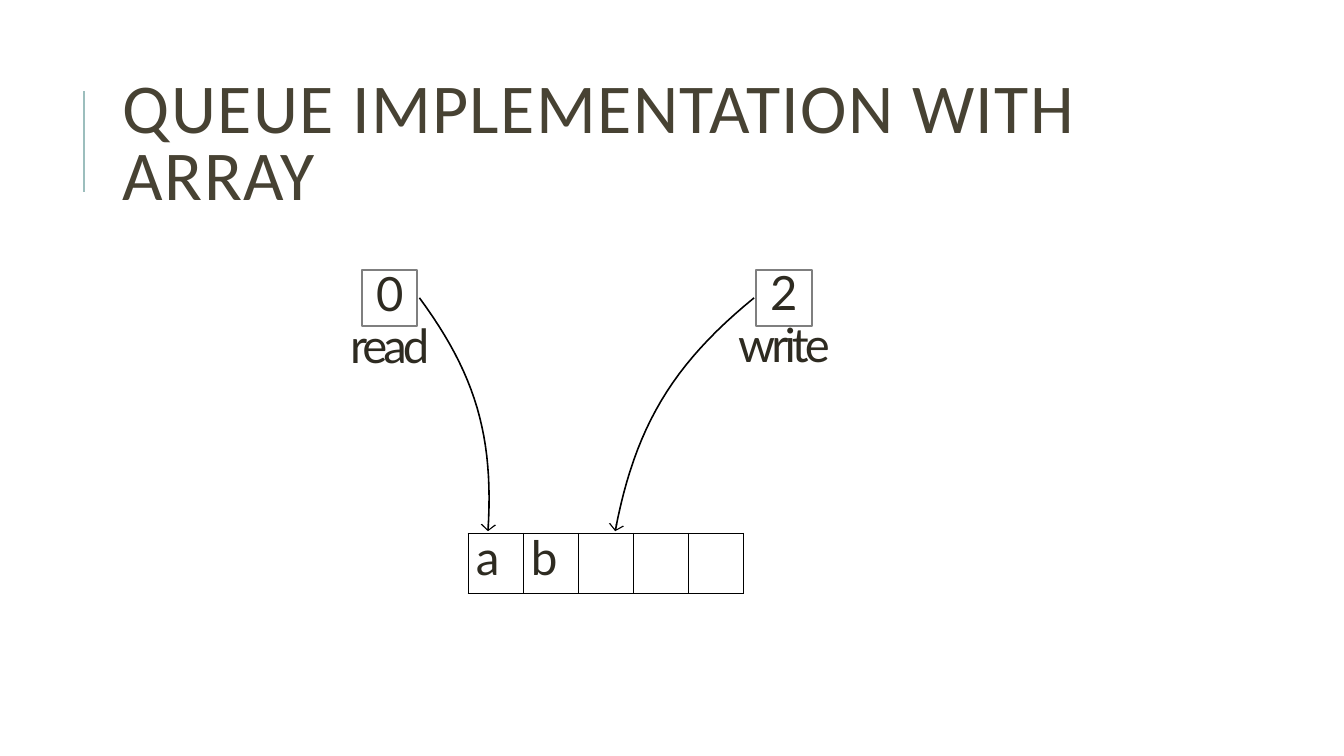
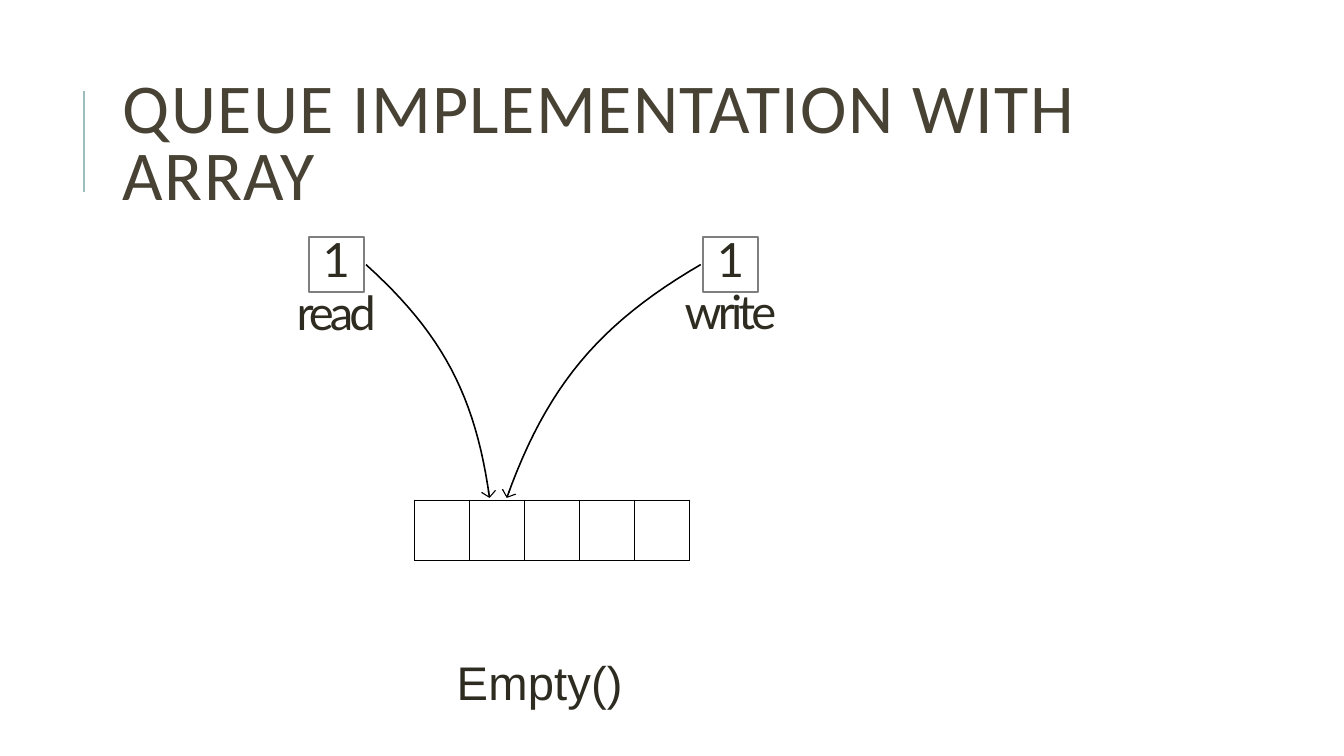
import math

from lxml import etree
from pptx import Presentation
from pptx.dml.color import RGBColor
from pptx.enum.shapes import MSO_CONNECTOR, MSO_SHAPE
from pptx.enum.text import MSO_ANCHOR, PP_ALIGN
from pptx.oxml.ns import qn
from pptx.util import Inches, Pt

LEFT, CENTER = PP_ALIGN.LEFT, PP_ALIGN.CENTER
TOP, MIDDLE = MSO_ANCHOR.TOP, MSO_ANCHOR.MIDDLE
RECTANGLE = MSO_SHAPE.RECTANGLE
STRAIGHT = MSO_CONNECTOR.STRAIGHT

color = RGBColor.from_string
ACCENT, TITLE_COLOR, TEXT_COLOR = "9CBEBD", "474233", "2E2B21"
BOX_LINE, BLACK = "7F7F7F", "000000"

TITLE = "QUEUE IMPLEMENTATION WITH ARRAY"
TITLE_STYLE = {"name": "Calibri", "size": Pt(50)}
LABEL_STYLE = {"name": "Lato", "size": Pt(33.7)}
CELL_STYLE = {"name": "Lato", "size": Pt(34)}
CALL_STYLE = {"name": "Arial", "size": Pt(33.7)}

BOX_SIZE = 0.55
CELL_COUNT = 5
CELL_WIDTH = 2.73 / CELL_COUNT
CELL_HEIGHT = 0.6
WRITE_OFFSET = 3.91
ARRAY_OFFSET = (1.05, 2.61)
ARROW_GAP = 0.02
BEND = math.radians(20)
CURVE_STEPS = 24


def add_text(frame, lines, style, text_color, line_spacing, margins,
             align=LEFT, anchor=TOP):
    """Fill a text frame with (text, letter spacing in points) lines."""
    frame.word_wrap = True
    frame.vertical_anchor = anchor
    frame.margin_left, frame.margin_top, frame.margin_right, frame.margin_bottom = (
        Inches(margin) for margin in margins)
    for index, (text, letter_spacing) in enumerate(lines):
        paragraph = frame.add_paragraph() if index else frame.paragraphs[0]
        paragraph.alignment = align
        paragraph.line_spacing = line_spacing
        run = paragraph.add_run()
        run.text = text
        for name, value in style.items():
            setattr(run.font, name, value)
        run.font.color.rgb = color(text_color)
        run.font._element.set("spc", str(round(letter_spacing * 100)))


def add_bent_arrow(slide, start, end, bend):
    """Draw a cubic curve that leaves and meets its chord at the bend angle."""
    (x0, y0), (x3, y3) = start, end
    chord = math.atan2(y3 - y0, x3 - x0)
    reach = 0.39 * math.dist(start, end)
    x1 = x0 + reach * math.cos(chord + bend)
    y1 = y0 + reach * math.sin(chord + bend)
    x2 = x3 - reach * math.cos(chord - bend)
    y2 = y3 - reach * math.sin(chord - bend)
    points = []
    for step in range(CURVE_STEPS + 1):
        t = step / CURVE_STEPS
        weights = ((1 - t) ** 3, 3 * t * (1 - t) ** 2, 3 * t * t * (1 - t), t ** 3)
        points.append(tuple(
            Inches(sum(weight * value for weight, value in zip(weights, values)))
            for values in ((x0, x1, x2, x3), (y0, y1, y2, y3))))
    builder = slide.shapes.build_freeform(*points[0])
    builder.add_line_segments(points[1:], close=False)
    curve = builder.convert_to_shape()
    curve.shadow.inherit = False
    curve.fill.background()
    curve.line.color.rgb = color(BLACK)
    curve.line.width = Pt(1.13)
    etree.SubElement(curve.line._get_or_add_ln(), qn("a:tailEnd"),
                     type="arrow", w="lg", len="sm")


presentation = Presentation()
presentation.slide_width = Inches(13.33)
presentation.slide_height = Inches(7.5)
blank_layout = presentation.slide_layouts[6]

# Diagram origin, read index, write index, array contents, call below the array
states = [
    ((3.59, 2.68), 0, 2, ["a", "b"], None),
    ((3.06, 2.35), 1, 1, [], "Empty()"),
]

for (left, top), read_index, write_index, contents, call in states:
    slide = presentation.slides.add_slide(blank_layout)

    title_rule = slide.shapes.add_connector(
        STRAIGHT, Inches(0.83), Inches(1.9), Inches(0.83), Inches(0.9))
    title_rule.line.color.rgb = color(ACCENT)
    title_rule.line.width = Pt(1.5)
    etree.SubElement(title_rule._element.spPr, qn("a:effectLst"))

    title = slide.shapes.add_textbox(
        Inches(1.12), Inches(0.64), Inches(10.63), Inches(1.64))
    add_text(title.text_frame, [(TITLE, 1)], TITLE_STYLE, TITLE_COLOR, 0.8,
             (0.1, 0.05, 0.1, 0.05), anchor=MIDDLE)

    array_left, array_top = left + ARRAY_OFFSET[0], top + ARRAY_OFFSET[1]
    write_left = left + WRITE_OFFSET

    # Box left, name, index, label width, line spacing, arrow start and end, bend
    pointers = [
        (left, "read", read_index, 0.85, 37.6,
         left + BOX_SIZE + ARROW_GAP, 0.2, -BEND),
        (write_left, "write", write_index, 0.98, 37.1,
         write_left - ARROW_GAP, 0.37, BEND),
    ]
    for (box_left, name, index, label_width, spacing,
         arrow_left, cell_offset, bend) in pointers:
        box = slide.shapes.add_shape(
            RECTANGLE, Inches(box_left), Inches(top), Inches(BOX_SIZE), Inches(BOX_SIZE))
        box.shadow.inherit = False
        box.fill.background()
        box.line.color.rgb = color(BOX_LINE)
        box.line.width = Pt(1.42)

        label = slide.shapes.add_textbox(
            Inches(box_left + (BOX_SIZE - label_width) / 2), Inches(top - 0.08),
            Inches(label_width), Inches(1.1))
        add_text(label.text_frame, [(str(index), -1.7), (name, -2.8)], LABEL_STYLE,
                 TEXT_COLOR, Pt(spacing), (0, 0.06, 0, 0), align=CENTER)

        add_bent_arrow(
            slide, (arrow_left, top + BOX_SIZE / 2),
            (array_left + index * CELL_WIDTH + cell_offset, array_top - ARROW_GAP), bend)

    table = slide.shapes.add_table(
        1, CELL_COUNT, Inches(array_left), Inches(array_top),
        Inches(CELL_WIDTH * CELL_COUNT), Inches(CELL_HEIGHT)).table
    table.first_row = table.horz_banding = False
    for cell in table.iter_cells():
        cell_properties = cell._tc.get_or_add_tcPr()
        for side in ("a:lnL", "a:lnR", "a:lnT", "a:lnB"):
            border = etree.SubElement(cell_properties, qn(side), w=str(Pt(0.5)))
            border_fill = etree.SubElement(border, qn("a:solidFill"))
            etree.SubElement(border_fill, qn("a:srgbClr"), val=BLACK)
        cell.fill.background()
    for column, text in enumerate(contents):
        cell = table.cell(0, column)
        add_text(cell.text_frame, [(text, 0)], CELL_STYLE, TEXT_COLOR, Pt(18.8),
                 (0, 0, 0, 0))
        cell.margin_left, cell.margin_top = Inches(0.08), Inches(0.26)
        cell.margin_right = cell.margin_bottom = 0

    if call:
        call_box = slide.shapes.add_textbox(
            Inches(4.5), Inches(6.53), Inches(1.72), Inches(0.52))
        add_text(call_box.text_frame, [(call, 0.1)], CALL_STYLE, TEXT_COLOR, Pt(37.1),
                 (0.03, 0, 0, 0))

presentation.save("out.pptx")
